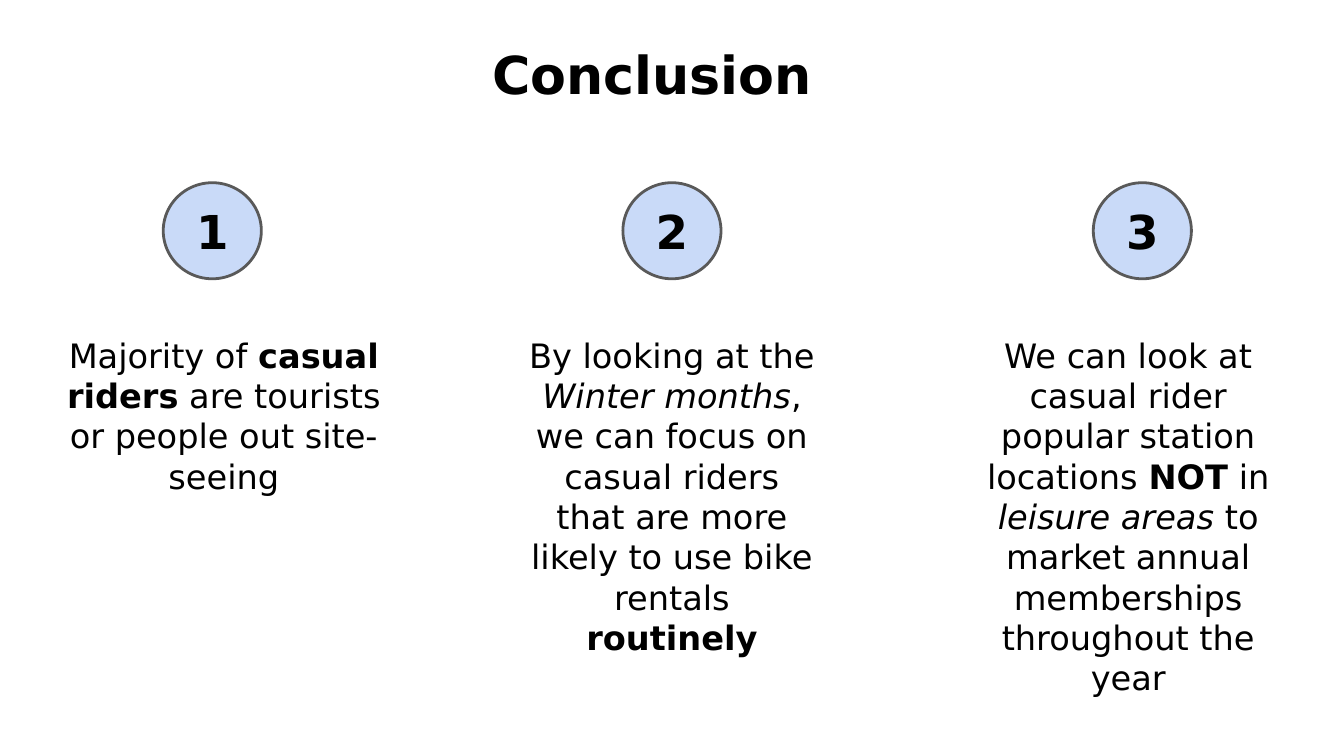
from pptx import Presentation
from pptx.dml.color import RGBColor
from pptx.enum.shapes import MSO_SHAPE
from pptx.enum.text import MSO_ANCHOR, PP_ALIGN
from pptx.util import Pt

PX = 4572  # EMU per px, 200 px to the inch
FONT = "DejaVu Sans"
COLORS = {"background": "FFFFFF", "text": "000000", "badge": "C9DAF8", "outline": "595959"}
INSET = 20
BADGE_WIDTH, BADGE_HEIGHT = 146, 143
BADGE_TOP, TEXT_TOP = 272, 478

# Each column: badge left, text box (left, width, height, left inset), then (text, style) runs
COLUMNS = [
    (243, (-35, 636, 480, 120), [
        ("Majority of ", ""), ("casual riders", "bold"),
        (" are tourists or people out site-seeing", "")]),
    (927, (763, 474, 530, INSET), [
        ("By looking at the ", ""), ("Winter months", "italic"),
        (", we can focus on casual riders that are more likely to use bike rentals ", ""),
        ("routinely", "bold")]),
    (1627, (1432, 494, 598, INSET), [
        ("We can look at casual rider popular station locations ", ""), ("NOT", "bold"),
        (" in ", ""), ("leisure areas", "italic"),
        (" to market annual memberships throughout the year", "")]),
]


def color(name):
    return RGBColor.from_string(COLORS[name])


def px(*lengths):
    return [length * PX for length in lengths]


def write_text(shape, runs, size, anchor=MSO_ANCHOR.TOP, left_inset=INSET):
    frame = shape.text_frame
    frame.word_wrap = True
    frame.vertical_anchor = anchor
    frame.margin_left = left_inset * PX
    frame.margin_right = frame.margin_top = frame.margin_bottom = INSET * PX
    paragraph = frame.paragraphs[0]
    paragraph.alignment = PP_ALIGN.CENTER
    paragraph.line_spacing = 1
    paragraph.space_before = Pt(0)
    for text, style in runs:
        run = paragraph.add_run()
        run.text = text
        run.font.name = FONT
        run.font.size = Pt(size)
        run.font.bold = style == "bold"
        run.font.italic = style == "italic"
        run.font.color.rgb = color("text")


def add_title(slide, left, top, width, height):
    title = slide.shapes.title
    title.left, title.top, title.width, title.height = px(left, top, width, height)
    write_text(title, [("Conclusion", "bold")], size=28)


def add_badge(slide, number, left, top):
    badge = slide.shapes.add_shape(
        MSO_SHAPE.OVAL, *px(left, top, BADGE_WIDTH, BADGE_HEIGHT))
    badge.shadow.inherit = False
    badge.fill.solid()
    badge.fill.fore_color.rgb = color("badge")
    badge.line.color.rgb = color("outline")
    badge.line.width = Pt(1.5)
    write_text(badge, [(str(number), "bold")], size=25, anchor=MSO_ANCHOR.MIDDLE)


def add_column(slide, number, badge_left, text_box, runs):
    left, width, height, left_inset = text_box
    add_badge(slide, number, badge_left, BADGE_TOP)
    body = slide.shapes.add_textbox(*px(left, TEXT_TOP, width, height))
    write_text(body, runs, size=18, left_inset=left_inset)


def main():
    presentation = Presentation()
    presentation.slide_width, presentation.slide_height = px(2000, 1125)
    slide = presentation.slides.add_slide(presentation.slide_layouts[5])
    slide.background.fill.solid()
    slide.background.fill.fore_color.rgb = color("background")

    # Heading
    add_title(slide, 416, 43, 1108, 176)

    # Three numbered conclusions
    for number, column in enumerate(COLUMNS, start=1):
        add_column(slide, number, *column)

    presentation.save("out.pptx")


if __name__ == "__main__":
    main()
